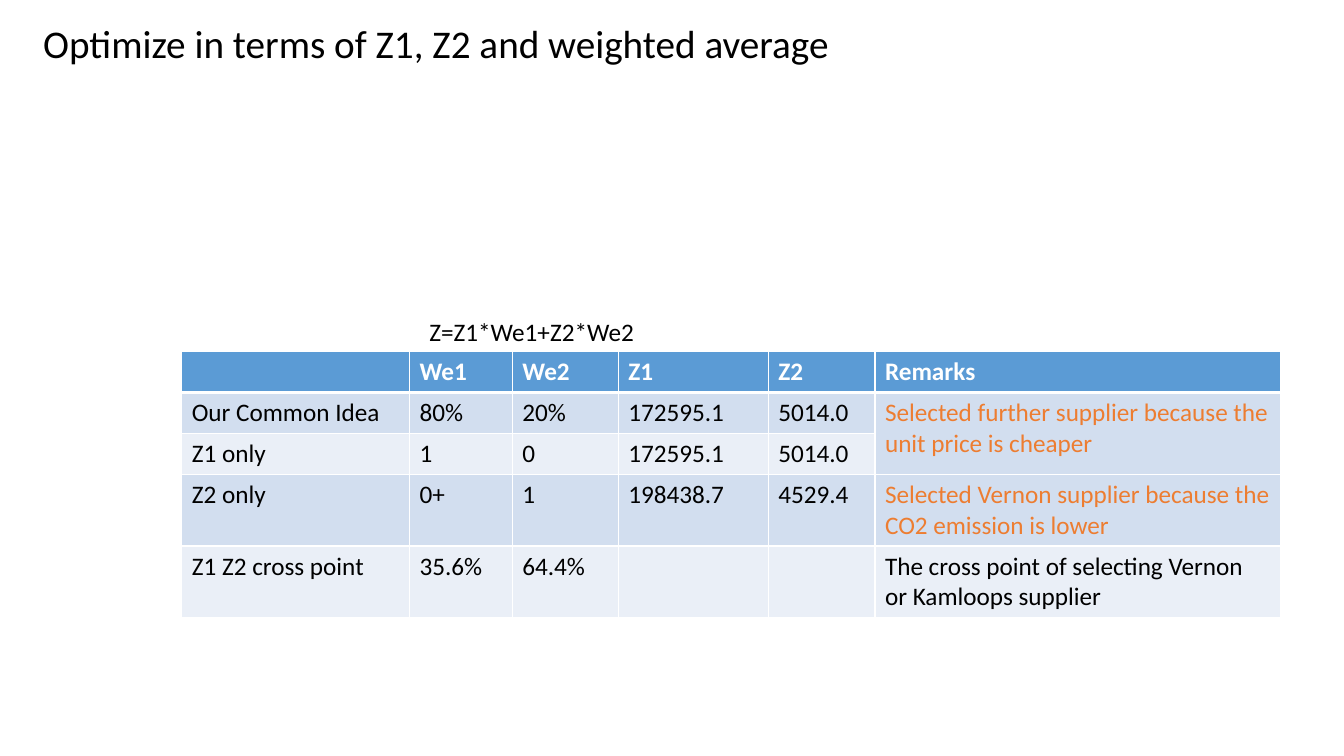
from lxml import etree
from pptx import Presentation
from pptx.dml.color import RGBColor
from pptx.enum import text
from pptx.oxml import ns
from pptx.util import Cm, Pt

WHITE = RGBColor(0xFF, 0xFF, 0xFF)
BLACK = RGBColor(0x00, 0x00, 0x00)
BLUE = RGBColor(0x5B, 0x9B, 0xD5)
BAND_DARK = RGBColor(0xD2, 0xDE, 0xEF)
BAND_LIGHT = RGBColor(0xEA, 0xEF, 0xF7)
ORANGE = RGBColor(0xED, 0x7D, 0x31)


def style_text(frame, size, color, bold=False):
    for para in frame.paragraphs:
        para.font.size = Pt(size)
        for span in para.runs:
            span.font.name = "Calibri"
            span.font.size = Pt(size)
            span.font.bold = bold
            span.font.color.rgb = color


def add_border(cell, side, width):
    properties = cell._tc.get_or_add_tcPr()
    line = etree.SubElement(properties, ns.qn(f"a:ln{side}"), w=str(Pt(width)))
    fill = etree.SubElement(line, ns.qn("a:solidFill"))
    etree.SubElement(fill, ns.qn("a:srgbClr"), val=str(WHITE))


deck = Presentation()
deck.slide_width, deck.slide_height = Cm(33.87), Cm(19.05)
page = deck.slides.add_slide(deck.slide_layouts[6])

rows = [
    ["", "We1", "We2", "Z1", "Z2", "Remarks"],
    ["Our Common Idea", "80%", "20%", "172595.1", "5014.0",
     "Selected further supplier because the unit price is cheaper"],
    ["Z1 only", "1", "0", "172595.1", "5014.0", ""],
    ["Z2 only", "0+", "1", "198438.7", "4529.4",
     "Selected Vernon supplier because the CO2 emission is lower"],
    ["Z1 Z2 cross point", "35.6%", "64.4%", "", "",
     "The cross point of selecting Vernon or Kamloops supplier"],
]
column_widths = [5.74, 2.59, 2.67, 3.78, 2.69, 10.21]
row_heights = [1.03, 1.03, 1.03, 1.81, 1.81]

frame = page.shapes.add_table(
    len(rows), len(column_widths), Cm(4.58), Cm(8.86),
    Cm(sum(column_widths)), Cm(sum(row_heights)))
table = frame.table
for column, width in zip(table.columns, column_widths):
    column.width = Cm(width)
for row, height in zip(table.rows, row_heights):
    row.height = Cm(height)

for r, values in enumerate(rows):
    header = r == 0
    for c, value in enumerate(values):
        cell = table.cell(r, c)
        cell.text_frame.text = value
        remark = c == 5 and r in (1, 3)
        color = WHITE if header else ORANGE if remark else BLACK
        style_text(cell.text_frame, 18, color, header)
        add_border(cell, "L", 1)
        add_border(cell, "R", 1)
        add_border(cell, "T", 3 if r == 1 else 1)
        add_border(cell, "B", 3 if header else 1)
        cell.fill.solid()
        cell.fill.fore_color.rgb = BLUE if header else BAND_DARK if r % 2 else BAND_LIGHT
table.cell(1, 5).merge(table.cell(2, 5))

labels = [
    ("Z=Z1*We1+Z2*We2", 18, 10.57, 7.85, 5.72, 1.02),
    ("Optimize in terms of Z1, Z2 and weighted average", 28, 0.84, 0.36, 20.75, 1.45),
]
for wording, size, left, top, width, height in labels:
    box = page.shapes.add_textbox(Cm(left), Cm(top), Cm(width), Cm(height))
    box.text_frame.word_wrap = False
    box.text_frame.auto_size = text.MSO_AUTO_SIZE.SHAPE_TO_FIT_TEXT
    box.text_frame.text = wording
    style_text(box.text_frame, size, BLACK)

deck.save("out.pptx")
